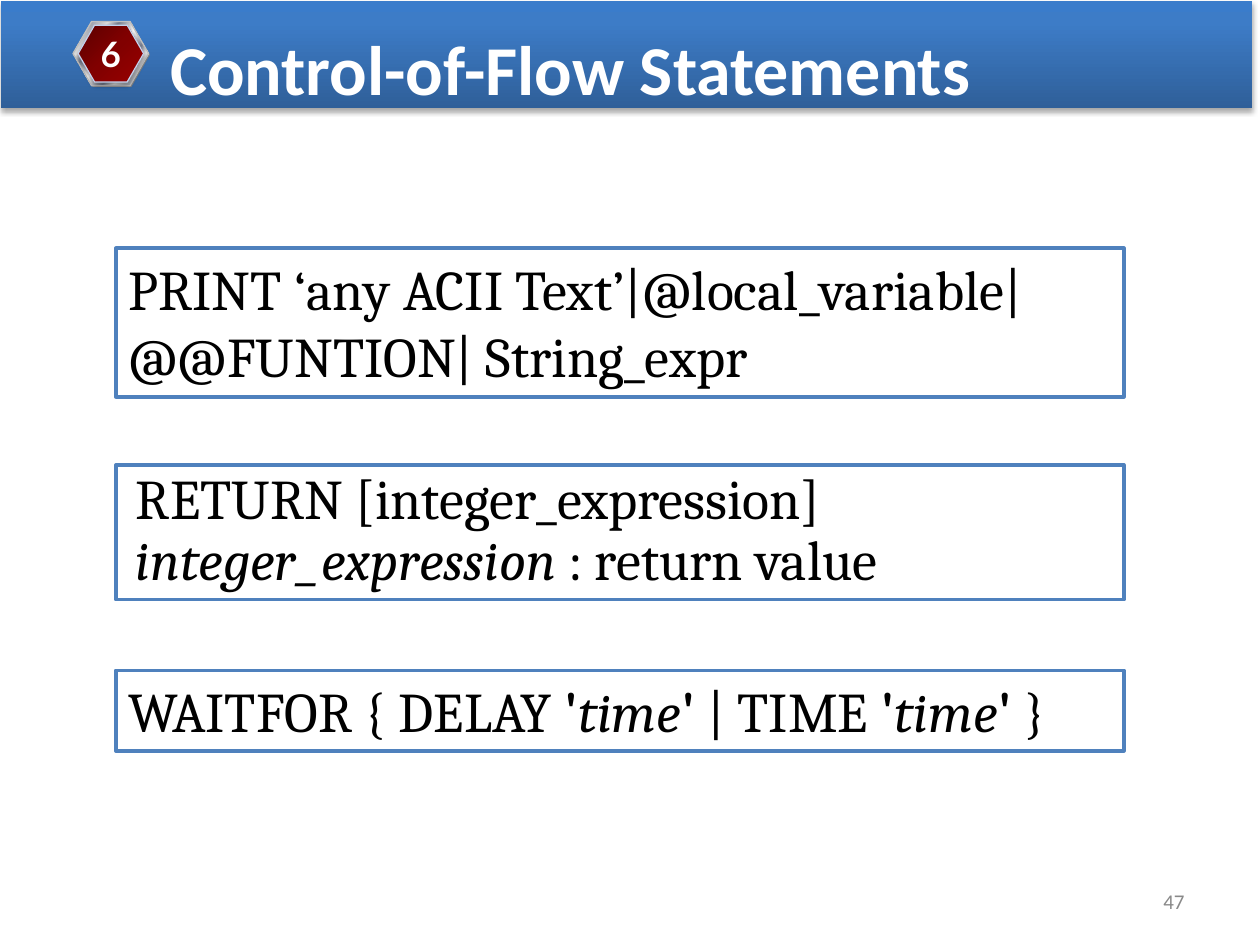
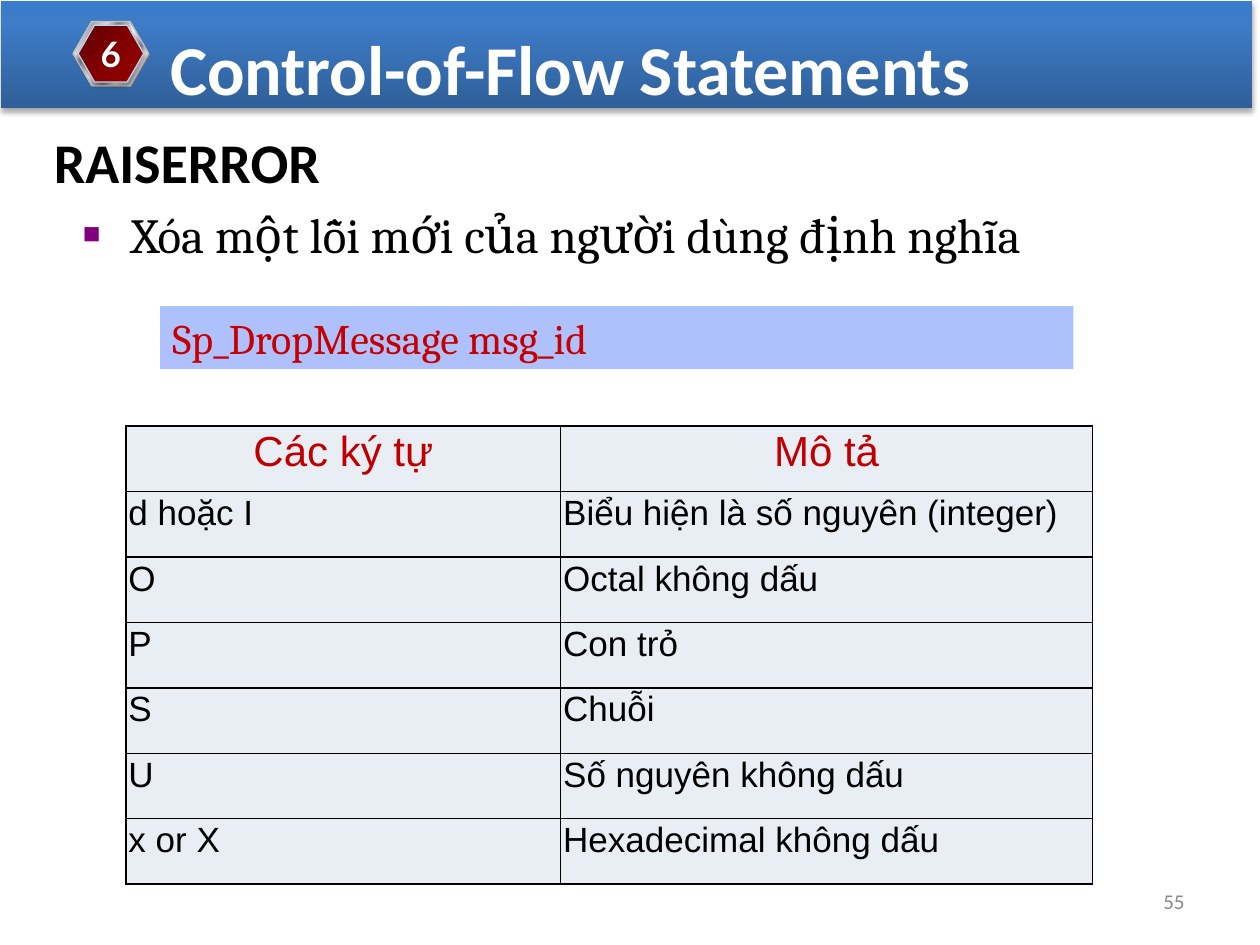
"""Build two slides on control-of-flow statements."""
from lxml.etree import SubElement
from pptx import Presentation
from pptx.dml.color import RGBColor
from pptx.enum.shapes import MSO_SHAPE
from pptx.enum.text import MSO_ANCHOR, MSO_AUTO_SIZE, PP_ALIGN
from pptx.oxml import parse_xml
from pptx.oxml.ns import nsdecls, qn
from pptx.util import Inches, Pt

COLORS = {
    "white": "FFFFFF", "black": "000000", "number": "898989",
    "outline": "4F81BD", "badge_shade": "808080", "badge_rim": "C0C0C0",
    "badge_edge": "C2D1ED", "bullet": "800080", "code_fill": "AEC1FC",
    "code_text": "C60000", "header_text": "C00000", "cell": "E9EDF4",
}
BAND_STOPS = [(0, "2F5F99"), (80, "3D7CC7"), (100, "3A7CCB")]
SILVER, STEEL = "E6E6E6", "7D8496"
RIM_STOPS = [
    (0, SILVER), (8, STEEL), (26, SILVER), (34, STEEL), (46, SILVER),
    (50, "FFFFFF"), (54, SILVER), (66, STEEL), (74, SILVER), (92, STEEL),
    (100, SILVER),
]
CORE_STOPS = [(0, "5B0000"), (50, "810000"), (100, "990000")]
TITLE = "Control-of-Flow Statements"
SYNTAX_BOXES = [
    (1.97, 1.18, 0, 1, [
        [("PRINT ‘any ACII Text’|@local_variable|", "")],
        [("@@FUNTION| String_expr", "")],
    ]),
    (3.69, 1.07, 0.06, 0.9, [
        [("RETURN [integer_expression]", "")],
        [("integer_expression ", "i"), (": return value", "")],
    ]),
    (5.32, 0.64, 0, 1, [
        [("WAITFOR { DELAY ", ""), ("'", "b"), ("time", "i"), ("'", "b"),
         (" | TIME ", ""), ("'", "b"), ("time", "i"), ("' ", "b"), ("}", "")],
    ]),
]
FORMAT_ROWS = [
    ("Các ký tự", "Mô tả"),
    ("d hoặc I", "Biểu hiện là số nguyên (integer)"),
    ("O", "Octal không dấu"),
    ("P", "Con trỏ"),
    ("S", "Chuỗi"),
    ("U", "Số nguyên không dấu"),
    ("x or X", "Hexadecimal không dấu"),
]


def rgb(name):
    """Return the named colour."""
    return RGBColor.from_string(COLORS[name])


def inches(box):
    """Convert left, top, width and height to lengths."""
    return [Inches(value) for value in box]


def set_font(para, face, size, color, bold=False):
    """Format a whole paragraph."""
    font = para.font
    font.name, font.size, font.bold = face, Pt(size), bold
    font.color.rgb = rgb(color)


def set_frame(frame, anchor=MSO_ANCHOR.TOP, wrap=True):
    """Set the anchor and wrapping of a text frame."""
    frame.word_wrap = wrap
    frame.auto_size = MSO_AUTO_SIZE.NONE
    frame.vertical_anchor = anchor


def add_text(page, box, text, face, size, color, bold=False,
             anchor=MSO_ANCHOR.TOP):
    """Add a one-paragraph text box and return its paragraph."""
    frame = page.shapes.add_textbox(*inches(box)).text_frame
    set_frame(frame, anchor)
    para = frame.paragraphs[0]
    para.text = text
    set_font(para, face, size, color, bold)
    return para


def add_panel(shapes, kind, box, fill=None, line=None, width=0.75):
    """Add a flat shape with an optional fill and outline."""
    shape = shapes.add_shape(kind, *inches(box))
    shape.shadow.inherit = False
    if fill:
        shape.fill.solid()
        shape.fill.fore_color.rgb = rgb(fill)
    if line:
        shape.line.color.rgb = rgb(line)
        shape.line.width = Pt(width)
    else:
        shape.line.fill.background()
    return shape


def add_gradient(shape, stops, angle):
    """Fill a shape with a linear gradient."""
    marks = "".join(
        f'<a:gs pos="{place * 1000}"><a:srgbClr val="{color}"/></a:gs>'
        for place, color in stops)
    shape._element.spPr.find(qn("a:prstGeom")).addnext(parse_xml(
        f'<a:gradFill {nsdecls("a")} rotWithShape="1"><a:gsLst>{marks}</a:gsLst>'
        f'<a:lin ang="{angle * 60000}" scaled="0"/></a:gradFill>'))


def add_shadow(shape, opacity, blur, distance):
    """Give a shape a soft shadow below it."""
    shape._element.spPr.find(qn("a:effectLst")).append(parse_xml(
        f'<a:outerShdw {nsdecls("a")} blurRad="{Pt(blur)}" '
        f'dist="{Pt(distance)}" dir="5400000" rotWithShape="0">'
        f'<a:srgbClr val="{COLORS["black"]}"><a:alpha val="{opacity * 1000}"/>'
        '</a:srgbClr></a:outerShdw>'))


def add_hexagon(group, box, **style):
    """Add one regular hexagon to the badge."""
    hexagon = add_panel(group.shapes, MSO_SHAPE.HEXAGON, box, **style)
    hexagon.adjustments[0] = 0.289
    hexagon.adjustments[1] = 1.155
    return hexagon


def add_badge(page, left, top, label):
    """Add the layered chapter badge."""
    group = page.shapes.add_group_shape()
    add_hexagon(group, (left + 0.01, top + 0.01, 0.6, 0.51), fill="badge_shade")
    rim = add_hexagon(group, (left, top, 0.6, 0.51), line="badge_rim")
    add_gradient(rim, RIM_STOPS, 45)
    core = add_hexagon(group, (left + 0.04, top + 0.03, 0.52, 0.45),
                       line="badge_edge")
    add_gradient(core, CORE_STOPS, 45)
    add_shadow(core, 38, 3.1, 1.6)
    frame = core.text_frame
    set_frame(frame, MSO_ANCHOR.MIDDLE, wrap=False)
    para = frame.paragraphs[0]
    para.text = label
    para.alignment = PP_ALIGN.CENTER
    set_font(para, "Lato", 20, "white", bold=True)


def add_page(deck, number):
    """Add a slide with the band, title, badge and slide number."""
    page = deck.slides.add_slide(deck.slide_layouts[5])
    band = add_panel(page.shapes, MSO_SHAPE.RECTANGLE, (0.01, 0.01, 9.93, 0.85))
    add_gradient(band, BAND_STOPS, 270)
    add_shadow(band, 35, 3.1, 1.8)
    title = page.shapes.title
    band._element.addnext(title._element)
    title.left, title.top, title.width, title.height = inches(
        (1.25, 0.15, 7.58, 0.77))
    set_frame(title.text_frame)
    para = title.text_frame.paragraphs[0]
    para.text = TITLE
    para.alignment = PP_ALIGN.LEFT
    set_font(para, "Calibri", 40, "white", bold=True)
    add_badge(page, 0.58, 0.17, "6")
    footer = add_text(page, (7.17, 6.95, 2.33, 0.4), str(number), "Calibri", 12,
                      "number", anchor=MSO_ANCHOR.MIDDLE)
    footer.alignment = PP_ALIGN.RIGHT
    return page


def add_syntax_box(page, box, indent, spacing, lines):
    """Add an outlined box of statement syntax."""
    panel = add_panel(page.shapes, MSO_SHAPE.RECTANGLE, box, "white", "outline", 2)
    frame = panel.text_frame
    set_frame(frame)
    for index, spans in enumerate(lines):
        para = frame.add_paragraph() if index else frame.paragraphs[0]
        para.alignment = PP_ALIGN.LEFT
        para.line_spacing = spacing
        para._p.get_or_add_pPr().set("marL", str(Inches(indent)))
        set_font(para, "Cambria", 32, "black")
        for text, style in spans:
            span = para.add_run()
            span.text = text
            if style == "b":
                span.font.bold = True
            elif style == "i":
                span.font.italic = True


def add_bullet(page, box, text):
    """Add a line with a small square bullet."""
    para = add_text(page, box, "", "Cambria", 28, "black")
    para.text = text
    properties = para._p.get_or_add_pPr()
    properties.set("marL", str(Inches(0.38)))
    properties.set("indent", str(-Inches(0.38)))
    bullet = parse_xml(
        f'<a:pPr {nsdecls("a")}><a:buClr><a:srgbClr val="{COLORS["bullet"]}"/>'
        '</a:buClr><a:buSzPct val="60000"/><a:buFont typeface="Arial"/>'
        '<a:buChar char="■"/></a:pPr>')
    for index, part in enumerate(list(bullet)):
        properties.insert(index, part)


def add_code_bar(page, box, text):
    """Add a tinted bar holding one line of code."""
    bar = add_panel(page.shapes, MSO_SHAPE.RECTANGLE, box, "code_fill")
    set_frame(bar.text_frame, MSO_ANCHOR.BOTTOM)
    para = bar.text_frame.paragraphs[0]
    para.text = text
    para.alignment = PP_ALIGN.LEFT
    set_font(para, "Cambria", 24, "code_text")


def add_borders(cell):
    """Draw a thin line on each side of a cell."""
    properties = cell._tc.get_or_add_tcPr()
    for side in ("lnL", "lnR", "lnT", "lnB"):
        line = SubElement(properties, qn(f"a:{side}"), w=str(Pt(1)))
        fill = SubElement(line, qn("a:solidFill"))
        SubElement(fill, qn("a:srgbClr"), val=COLORS["black"])


def add_format_table(page, left, top, widths, row_height, rows):
    """Add the table of format characters."""
    box = (left, top, sum(widths), row_height * len(rows))
    table = page.shapes.add_table(len(rows), len(widths), *inches(box)).table
    table.first_row = table.horz_banding = False
    for column, width in zip(table.columns, widths):
        column.width = Inches(width)
    for row_index, texts in enumerate(rows):
        table.rows[row_index].height = Inches(row_height)
        header = row_index == 0
        for column_index, text in enumerate(texts):
            cell = table.cell(row_index, column_index)
            cell.margin_left = cell.margin_right = Inches(0.02)
            cell.margin_top = cell.margin_bottom = Inches(0.02)
            add_borders(cell)
            cell.fill.solid()
            cell.fill.fore_color.rgb = rgb("cell")
            para = cell.text_frame.paragraphs[0]
            para.text = text
            para.alignment = PP_ALIGN.CENTER if header else PP_ALIGN.JUSTIFY
            set_font(para, "Arial", 24 if header else 20,
                     "header_text" if header else "black")


def build_syntax_page(deck):
    """Build the slide of PRINT, RETURN and WAITFOR syntax."""
    page = add_page(deck, 47)
    for top, height, indent, spacing, lines in SYNTAX_BOXES:
        add_syntax_box(page, (0.92, top, 8, height), indent, spacing, lines)


def build_raiserror_page(deck):
    """Build the slide on dropping a user-defined message."""
    page = add_page(deck, 55)
    add_text(page, (0.33, 0.96, 9.17, 2.42), "RAISERROR", "Calibri", 32,
             "black", bold=True)
    add_format_table(page, 1, 3.38, (3.45, 4.22), 0.52, FORMAT_ROWS)
    add_bullet(page, (0.56, 1.57, 8.5, 0.52),
               "Xóa một lỗi mới của người dùng định nghĩa")
    add_code_bar(page, (1.27, 2.43, 7.25, 0.5), "Sp_DropMessage msg_id")


def main():
    """Build and save the deck."""
    deck = Presentation()
    deck.slide_width, deck.slide_height = Inches(10), Inches(7.5)
    build_syntax_page(deck)
    build_raiserror_page(deck)
    deck.save("out.pptx")


if __name__ == "__main__":
    main()
